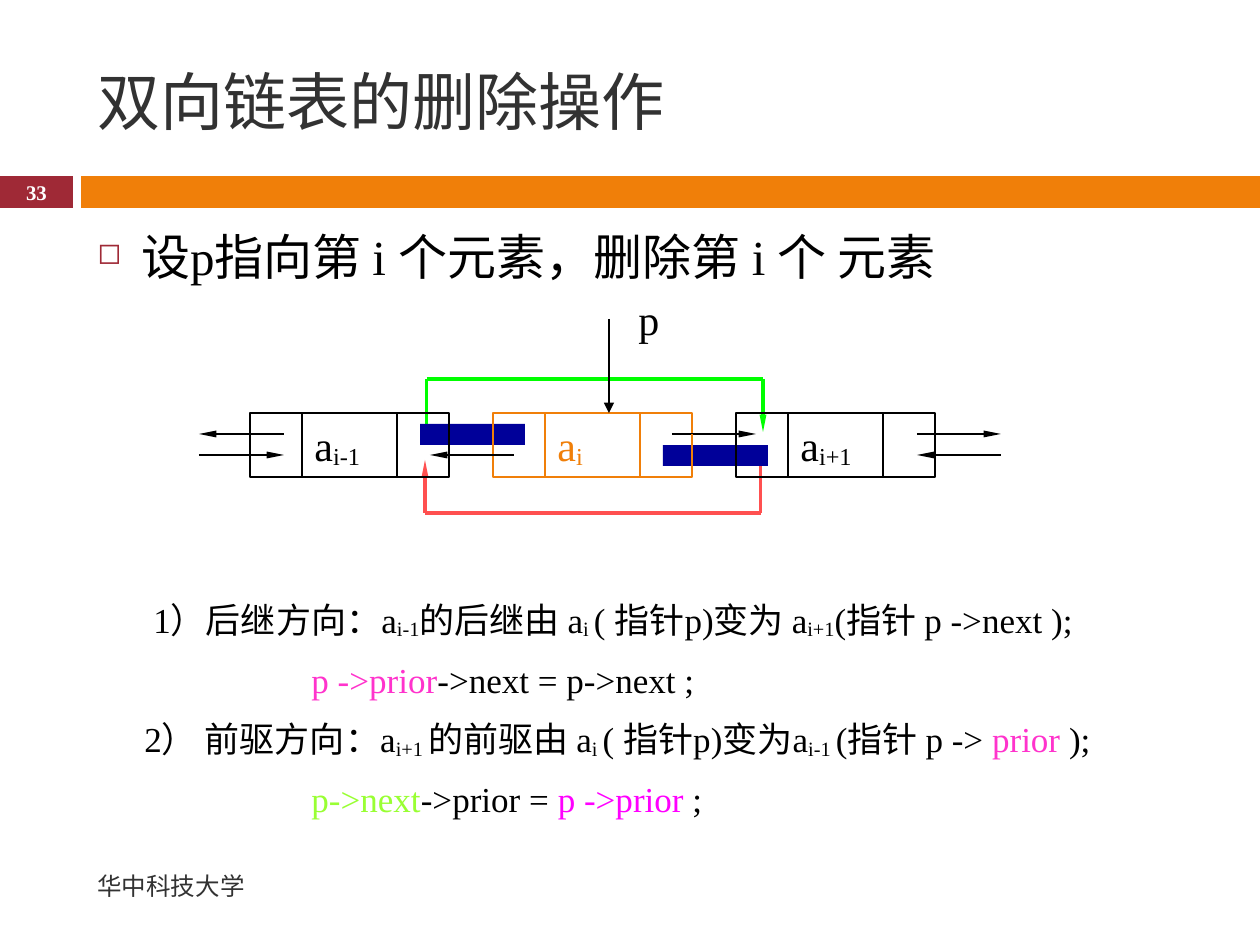
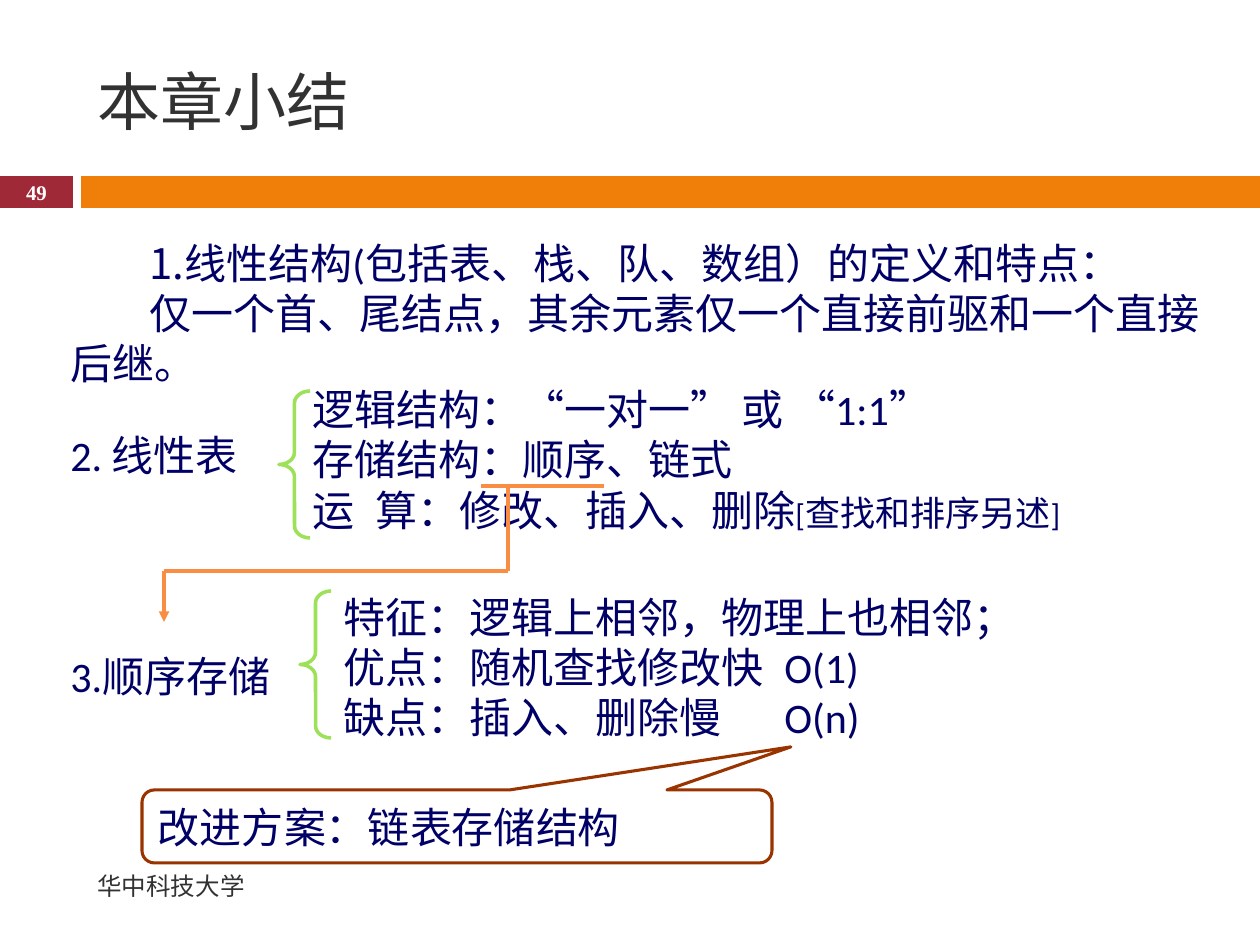
from itertools import pairwise

from lxml.etree import SubElement
from pptx import Presentation
from pptx.dml.color import RGBColor
from pptx.enum.shapes import MSO_CONNECTOR, MSO_SHAPE
from pptx.enum.text import MSO_ANCHOR, PP_ALIGN
from pptx.oxml import parse_xml
from pptx.oxml.ns import nsdecls, qn
from pptx.util import Pt

PX = 914400 / 126
COLORS = {
    "maroon": "9F2936", "orange": "F07F09", "title": "323232",
    "black": "000000", "white": "FFFFFF", "navy": "000066",
    "bar": "000099", "red": "FF5050", "green": "00FF00",
    "pink": "FF33CC", "magenta": "FF00FF", "lime": "99FF33",
    "brace": "9CE157", "path": "F98D43", "brown": "993300",
}
SERIF = {"name": "Times New Roman", "color": "black", "size": 20}
SANS = {"name": "Calibri", "color": "navy", "size": 24}
SUB = {"base": -10000}
QUOTE = {"name": "Times New Roman"}


def put_box(page, area, paras=(), style=SERIF, kind=None, fill=None,
            line=None, weight=0.75, anchor=MSO_ANCHOR.TOP):
    """Add a text box, or a preset shape if kind is given.

    Each paragraph is (layout dict, list of (text, changes to style)).
    """
    place = [round(n * PX) for n in area]
    if kind is None:
        box = page.shapes.add_textbox(*place)
    else:
        box = page.shapes.add_shape(kind, *place)
        box.shadow.inherit = False
        if fill:
            box.fill.solid()
            box.fill.fore_color.rgb = RGBColor.from_string(COLORS[fill])
        else:
            box.fill.background()
        if line:
            box.line.color.rgb = RGBColor.from_string(COLORS[line])
            box.line.width = Pt(weight)
        else:
            box.line.fill.background()
    frame = box.text_frame
    frame.word_wrap = True
    frame.vertical_anchor = anchor
    for number, (layout, spans) in enumerate(paras):
        para = frame.paragraphs[0] if number == 0 else frame.add_paragraph()
        props = para._p.get_or_add_pPr()
        for key in ("marL", "indent"):
            props.set(key, str(round(layout.get(key, 0) * PX)))
        for xml in layout.get("bullet", ()):
            props.append(parse_xml(xml))
        if "tab" in layout:
            tabs = SubElement(props, qn("a:tabLst"))
            SubElement(tabs, qn("a:tab"), pos=str(round(layout["tab"] * PX)), algn="l")
        para.alignment = layout.get("align", PP_ALIGN.LEFT)
        if number and "before" in layout:
            para.space_before = Pt(layout["before"])
        for text, changes in spans:
            span = para.add_run()
            span.text = text
            for key, value in {**style, **changes}.items():
                if key == "color":
                    span.font.color.rgb = RGBColor.from_string(COLORS[value])
                elif key == "base":
                    span._r.get_or_add_rPr().set("baseline", str(value))
                else:
                    setattr(span.font, key, Pt(value) if key == "size" else value)
    return box


def put_path(page, points, color, weight=0.75, head=None):
    """Join points with straight lines; head is the (width, length) of an end arrow."""
    for start, end in pairwise(points):
        link = page.shapes.add_connector(
            MSO_CONNECTOR.STRAIGHT, *[round(n * PX) for n in (*start, *end)])
        link.line.color.rgb = RGBColor.from_string(COLORS[color])
        link.line.width = Pt(weight)
        SubElement(link._element.spPr, qn("a:effectLst"))
        if head and end == points[-1]:
            SubElement(link.line._get_or_add_ln(), qn("a:tailEnd"),
                       type="triangle", w=head[0], len=head[1])


deck = Presentation()
deck.slide_width = round(1260 * PX)
deck.slide_height = round(945 * PX)

# Shared title, bands, footer and page number
pages = []
for title, number in (("双向链表的删除操作", "33"), ("本章小结", "49")):
    page = deck.slides.add_slide(deck.slide_layouts[6])
    pages.append(page)
    put_box(page, (0, 176, 73, 32), kind=MSO_SHAPE.RECTANGLE, fill="maroon")
    put_box(page, (81, 176, 1179, 32), kind=MSO_SHAPE.RECTANGLE, fill="orange")
    for area, text, changes, align in (
        ((85, 32, 1124, 136), title, {"size": 36, "color": "title"}, PP_ALIGN.LEFT),
        ((85, 861, 747, 50), "华中科技大学", {"size": 14, "color": "title"}, PP_ALIGN.LEFT),
        ((0, 175, 73, 34), number, {"size": 11.9, "color": "white", "bold": True},
         PP_ALIGN.CENTER),
    ):
        put_box(page, area, [({"align": align}, [(text, changes)])],
                anchor=MSO_ANCHOR.MIDDLE)
deletion, summary = pages

# Deletion: statement
square = [
    f'<a:buClr {nsdecls("a")}><a:srgbClr val="{COLORS["maroon"]}"/></a:buClr>',
    f'<a:buSzPct {nsdecls("a")} val="60000"/>',
    f'<a:buChar {nsdecls("a")} char="◻"/>',
]
put_box(deletion, (85, 220, 1124, 620), [
    ({"marL": 44, "indent": -44, "bullet": square},
     [("设p指向第 i 个元素，删除第 i 个 元素", {"size": 28})]),
])

# Deletion: the two steps
step = {"before": 10}
code = {"before": 10, "marL": 167}
put_box(deletion, (132, 592, 989, 246), [
    ({"indent": 9}, [
        ("1）后继方向：a", {}), ("i-1", SUB), ("的后继由 a", {}), ("i ", SUB),
        ("( 指针p)变为 a", {}), ("i+1", SUB), ("(指针 p ->next );", {})]),
    (code, [("p ->prior", {"color": "pink"}), ("->next = p->next ;", {})]),
    (step, [
        ("2） 前驱方向：a", {}), ("i+1 ", SUB), ("的前驱由 a", {}), ("i ", SUB),
        ("( 指针p)变为a", {}), ("i-1 ", SUB), ("(指针 p -> ", {}),
        ("prior ", {"color": "pink"}), (");", {})]),
    (code, [("p->next", {"color": "lime"}), ("->prior = ", {}),
            ("p ->prior", {"color": "magenta"}), (" ;", {})]),
])

# Deletion: new links around the removed node
slim = ("sm", "lg")
put_path(deletion, [(761, 460), (761, 513), (425, 513), (425, 460)], "red", 1.75, slim)
put_path(deletion, [(427, 432), (427, 379), (763, 379), (763, 432)], "green", 1.75, slim)

# Deletion: three nodes, each with prior, data and next cells
for index, (label, color) in enumerate(
        (("i-1", "black"), ("i", "orange"), ("i+1", "black"))):
    left = 250 + 243 * index
    for offset, width in ((0, 52), (52, 95), (147, 52)):
        data = [({}, [("a", {}), (label, SUB)])] if offset == 52 else []
        put_box(deletion, (left + offset, 413, width, 64), data,
                {**SERIF, "size": 24, "color": color},
                kind=MSO_SHAPE.RECTANGLE, line=color)

# Deletion: old links, two of them struck out by bars
for start, end, height in ((284, 199, 434), (199, 284, 455), (514, 430, 455),
                           (672, 756, 434), (917, 1001, 434), (1001, 917, 455)):
    put_path(deletion, [(start, height), (end, height)], "black", head=slim)
for left, top, edges in ((420, 424, ((449, "black"), (493, "orange"))),
                         (663, 445, ((692, "orange"), (736, "black")))):
    put_box(deletion, (left, top, 105, 21), kind=MSO_SHAPE.RECTANGLE, fill="bar")
    for edge, color in edges:
        put_path(deletion, [(edge, top - 11), (edge, top + 21)], color)

# Deletion: pointer p
put_path(deletion, [(609, 319), (609, 413)], "black", head=("med", "med"))
put_box(deletion, (626, 287, 63, 63), [({}, [("p", {"size": 24})])])

# Summary: text blocks
numbered = [f'<a:buFont {nsdecls("a")} typeface="+mj-lt"/>',
            f'<a:buAutoNum {nsdecls("a")} type="arabicPeriod"/>']
blocks = (
    ((58, 231, 1187, 165), [
        ({"indent": 79, "bullet": numbered},
         [("线性结构(包括表、栈、队、数组）的定义和特点：", {})]),
        ({"indent": 79},
         [("仅一个首、尾结点，其余元素仅一个直接前驱和一个直接后继。", {})])]),
    ((58, 423, 284, 63), [({}, [("2. 线性表", {})])]),
    ((300, 377, 945, 173), [
        ({}, [("逻辑结构：", {}), ("“", QUOTE), ("一对一", {}), ("”", QUOTE),
              (" 或 ", {}), ("“", QUOTE), ("1:1", {}), ("”", QUOTE)]),
        ({}, [("存储结构：顺序、链式", {})]),
        ({"tab": 78}, [("运\t算：修改、插入、删除", {}), ("[", {"size": 18}),
                       ("查找和排序另述", {"size": 20}), ("]", {"size": 18})])]),
    ((58, 644, 284, 63), [({}, [("3.顺序存储", {})])]),
    ((331, 585, 798, 164), [
        ({}, [("特征：逻辑上相邻，物理上也相邻；", {})]),
        ({"tab": 458}, [("优点：随机查找修改快\tO(1)", {})]),
        ({"tab": 435}, [("缺点：插入、删除慢\tO(n)", {})])]),
)
for area, paras in blocks:
    put_box(summary, area, paras, SANS)

# Summary: braces
for left, top in ((279, 391), (300, 591)):
    brace = put_box(summary, (left, top, 31, 147), kind=MSO_SHAPE.LEFT_BRACE,
                    line="brace", weight=2)
    brace.adjustments[0] = 0.39

# Summary: path from 顺序 to its own section
put_path(summary, [(481, 486), (604, 486)], "path", 2)
put_path(summary, [(508, 486), (508, 571), (164, 571), (164, 622)], "path", 2,
         ("med", "med"))

# Summary: callout with the remedy
callout = put_box(summary, (142, 790, 630, 73), [({}, [("改进方案：链表存储结构", {})])],
                  SANS, MSO_SHAPE.ROUNDED_RECTANGULAR_CALLOUT, line="brown",
                  weight=1.75, anchor=MSO_ANCHOR.MIDDLE)
for index, value in enumerate((0.53, -1.09, 0.17)):
    callout.adjustments[index] = value

deck.save("out.pptx")
